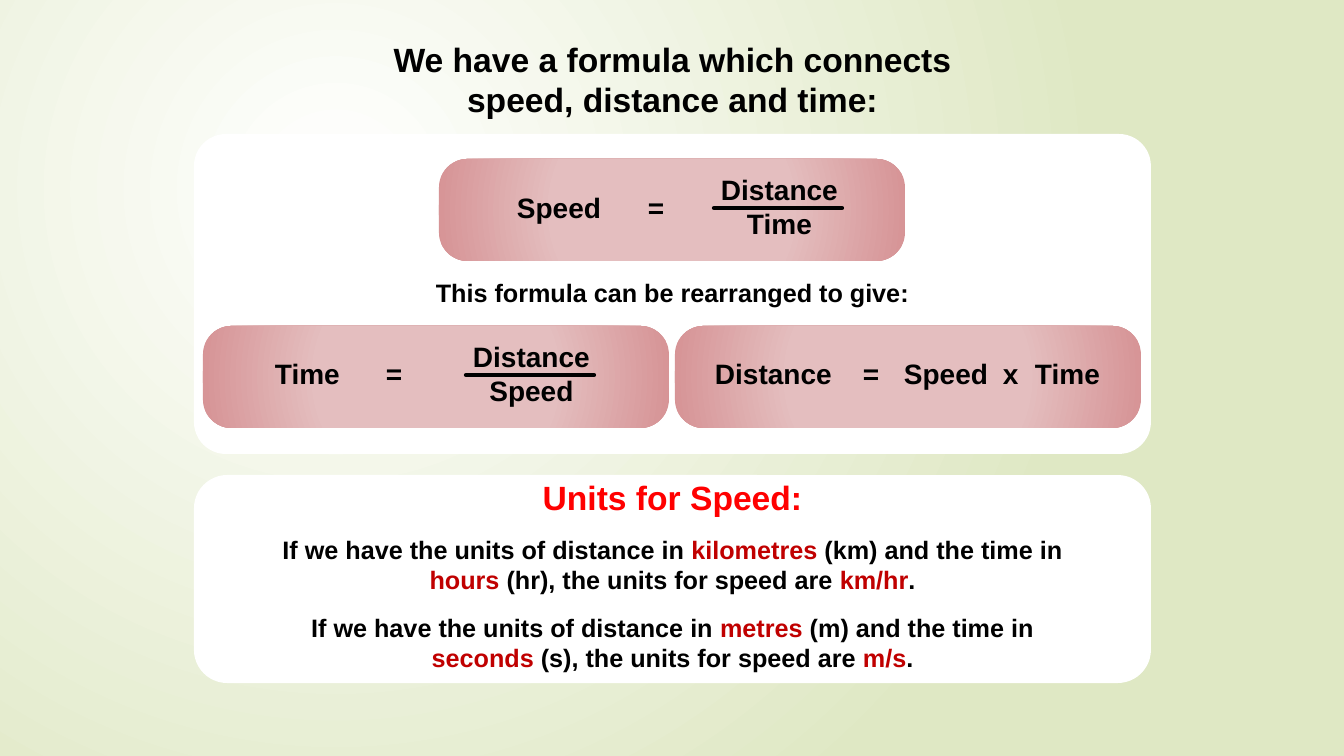
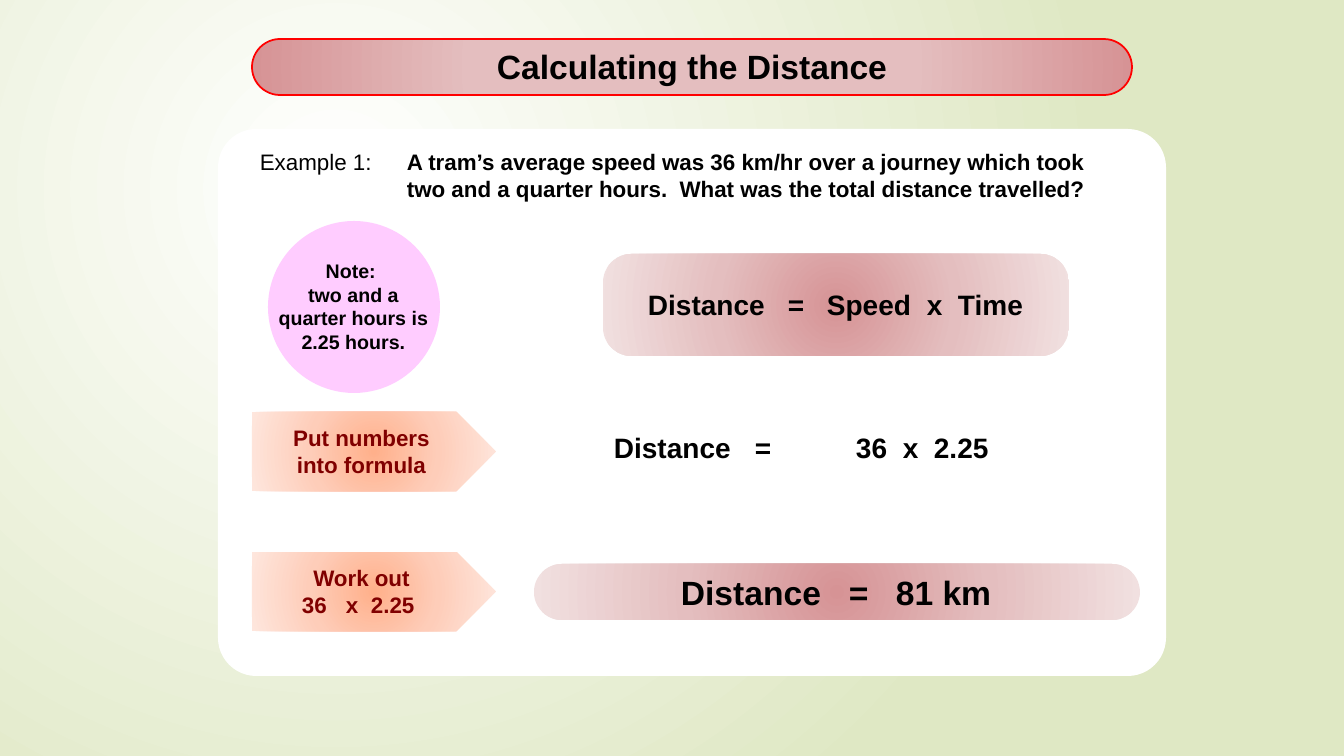
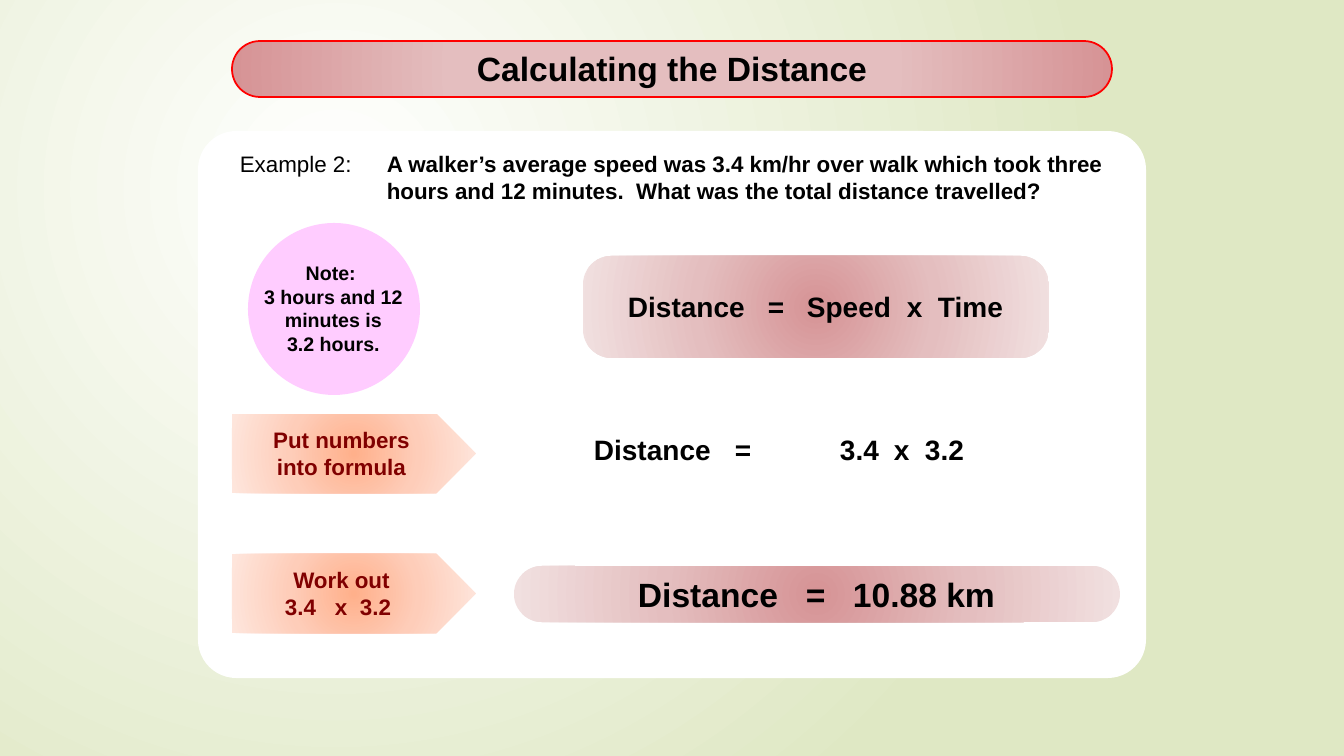
from copy import deepcopy

from lxml import etree
from pptx import Presentation
from pptx.dml.color import RGBColor
from pptx.enum.shapes import MSO_CONNECTOR, MSO_SHAPE
from pptx.enum.text import PP_ALIGN
from pptx.oxml import parse_xml
from pptx.oxml.ns import nsdecls, qn
from pptx.util import Pt

PX = 9071  # EMU in one px
FONT = "Arial"
BLACK = RGBColor(0x00, 0x00, 0x00)
WHITE = RGBColor(0xFF, 0xFF, 0xFF)
RED = RGBColor(0xFF, 0x00, 0x00)
DARK_RED = RGBColor(0xC0, 0x00, 0x00)
MAROON = RGBColor(0x80, 0x00, 0x00)
PINK = RGBColor(0xFF, 0xCC, 0xFF)

ROUNDED = MSO_SHAPE.ROUNDED_RECTANGLE
OVAL = MSO_SHAPE.OVAL
ARROW = MSO_SHAPE.PENTAGON
STRAIGHT = MSO_CONNECTOR.STRAIGHT
LEFT = PP_ALIGN.LEFT
CENTER = PP_ALIGN.CENTER

# Stops as (percent, colour), then the right and bottom of the focus in percent
GRADIENTS = {}
for name, stops, far_edge in (
    ("backdrop", ((0, WHITE), (100, RGBColor(0xDF, 0xE8, 0xC4))), 100),
    ("dark edge", ((50, RGBColor(0xE4, 0xBE, 0xBF)), (100, RGBColor(0xD6, 0x93, 0x95)),
                   (100, RGBColor(0xF1, 0xE0, 0xE0))), 50),
    ("dark centre", ((0, RGBColor(0xD6, 0x93, 0x95)), (50, RGBColor(0xE4, 0xBE, 0xBF)),
                     (100, RGBColor(0xF1, 0xE0, 0xE0))), 50),
    ("orange", ((0, RGBColor(0xFF, 0xB0, 0x8B)), (50, RGBColor(0xFE, 0xCD, 0xB9)),
                (100, RGBColor(0xFE, 0xE6, 0xDD))), 50),
):
    stop_xml = "".join(
        f'<a:gs pos="{percent * 1000}"><a:srgbClr val="{color}"/></a:gs>'
        for percent, color in stops)
    GRADIENTS[name] = parse_xml(
        f'<a:gradFill {nsdecls("a")}><a:gsLst>{stop_xml}</a:gsLst><a:path path="circle">'
        f'<a:fillToRect l="50000" t="50000" r="{far_edge * 1000}" b="{far_edge * 1000}"/>'
        '</a:path></a:gradFill>')


def add_box(slide, kind, box, fill, corner=None, outline=None):
    """Add a preset shape filled with a colour or a named gradient."""
    shape = slide.shapes.add_shape(kind, *[length * PX for length in box])
    shape.shadow.inherit = False
    if corner is not None:
        shape.adjustments[0] = corner
    if fill in GRADIENTS:
        shape.fill.gradient()
        plain = shape.element.spPr.find(qn("a:gradFill"))
        plain.getparent().replace(plain, deepcopy(GRADIENTS[fill]))
    else:
        shape.fill.solid()
        shape.fill.fore_color.rgb = fill
    if outline is None:
        shape.line.fill.background()
    else:
        shape.line.color.rgb = outline
        shape.line.width = Pt(1.25)


def add_text(slide, box, lines, size, color=BLACK, align=CENTER, bold=True, tabs=()):
    """Add a text box; a line is a string or a list of (text, colour) runs."""
    frame = slide.shapes.add_textbox(*[length * PX for length in box]).text_frame
    frame.word_wrap = True
    for index, line in enumerate(lines):
        paragraph = frame.add_paragraph() if index else frame.paragraphs[0]
        paragraph.alignment = align
        if tabs:
            tab_list = etree.SubElement(paragraph._p.get_or_add_pPr(), qn("a:tabLst"))
            for position in tabs:
                etree.SubElement(tab_list, qn("a:tab"), pos=str(position * PX), algn="l")
        for text, run_color in [(line, color)] if isinstance(line, str) else line:
            run = paragraph.add_run()
            run.text = text
            run.font.name = FONT
            run.font.size = Pt(size)
            run.font.bold = bold
            run.font.color.rgb = run_color


presentation = Presentation()
presentation.slide_width = 1344 * PX
presentation.slide_height = 756 * PX
blank = presentation.slide_layouts[6]
master = presentation.slide_master
master.background.fill.gradient()
plain_backdrop = master.element.find(".//" + qn("a:gradFill"))
plain_backdrop.getparent().replace(plain_backdrop, deepcopy(GRADIENTS["backdrop"]))

# Each equation: slide, top, size, colour, and its words with their left edges
equations = []

# Slide 1: the formula and its units
slide = presentation.slides.add_slide(blank)
add_box(slide, ROUNDED, (194, 475, 957, 208), WHITE, 0.16)
add_box(slide, ROUNDED, (194, 134, 957, 320), WHITE, 0.1)
for left, top in ((439, 159), (203, 326), (675, 326)):
    add_box(slide, ROUNDED, (left, top, 466, 102), "dark edge", 0.28)

for left, top, bottom_word in ((690, 168, "Time"), (442, 335, "Speed")):
    add_text(slide, (left, top, 179, 78), ["Distance", bottom_word], 20)
    bar_y = top + 40
    bar = slide.shapes.add_connector(
        STRAIGHT, (left + 24) * PX, bar_y * PX, (left + 152) * PX, bar_y * PX)
    bar.line.color.rgb = BLACK
    bar.line.width = Pt(3)
    properties = bar.element.spPr
    properties.find(qn("a:ln")).set("cap", "rnd")
    etree.SubElement(properties, qn("a:effectLst"))

equations += [
    (slide, 186, 20, BLACK, (("Speed", 517), ("=", 648))),
    (slide, 352, 20, BLACK, (("Time", 275), ("=", 386))),
    (slide, 352, 20, BLACK, (("Distance", 715), ("=", 863), ("Speed", 904),
                             ("x", 1003), ("Time", 1035))),
]

for top, height, size, color, lines in (
    (34, 92, 24, BLACK, ["We have a formula which connects", "speed, distance and time:"]),
    (272, 40, 18, BLACK, ["This formula can be rearranged to give:"]),
    (472, 50, 24, RED, ["Units for Speed:"]),
):
    add_text(slide, (230, top, 885, height), lines, size, color)

for top, length_unit, length_sign, time_unit, time_sign, speed_sign in (
    (529, "kilometres", "km", "hours", "hr", "km/hr"),
    (607, "metres", "m", "seconds", "s", "m/s"),
):
    add_text(slide, (230, top, 885, 72), [
        [("If we have the units of distance in ", BLACK), (length_unit, DARK_RED),
         (f" ({length_sign}) and the time in", BLACK)],
        [(f"{time_unit} ", DARK_RED), (f"({time_sign}), the units for speed are ", BLACK),
         (speed_sign, DARK_RED), (".", BLACK)],
    ], 18)

# Slides 2 and 3: worked examples, each placed from the panel's left and top
EXAMPLES = (
    (218, 129, "Example 1:",
     "A tram’s average speed was 36 km/hr over a journey which took two and a "
     "quarter hours.  What was the total distance travelled?",
     ["Note: ", "two and a quarter hours is", "2.25 hours."],
     (("36", 638), ("x", 685), ("2.25", 716)),
     (("36", 84), ("x", 128), ("2.25", 153)),
     (("Distance", 463), ("=", 631), ("81 km", 678))),
    (198, 131, "Example 2:",
     "A walker’s average speed was 3.4 km/hr over walk which took three hours and "
     "12 minutes.  What was the total distance travelled?",
     ["Note: ", "3 hours and 12 minutes is", "3.2 hours."],
     (("3.4", 642), ("x", 696), ("3.2", 727)),
     (("3.4", 87), ("x", 137), ("3.2", 162)),
     (("Distance", 440), ("=", 608), ("10.88 km", 655))),
)
for left, top, label, question, note, numbers, working, answer in EXAMPLES:
    slide = presentation.slides.add_slide(blank)
    add_box(slide, ROUNDED, (left, top, 948, 547), WHITE, 0.07)
    add_box(slide, ROUNDED, (left + 34, top - 90, 880, 56), "dark edge", 0.5, RED)
    add_text(slide, (left + 57, top - 88, 834, 50), ["Calculating the Distance"], 24)
    add_text(slide, (left + 32, top + 14, 169, 37), [label], 16, align=LEFT, bold=False)
    add_text(slide, (left + 179, top + 14, 737, 65), [question], 16, align=LEFT)
    add_box(slide, OVAL, (left + 50, top + 92, 172, 172), PINK)
    add_text(slide, (left + 46, top + 125, 179, 105), note, 14)
    add_box(slide, ROUNDED, (left + 385, top + 125, 466, 102), "dark centre", 0.28)
    add_box(slide, ROUNDED, (left + 316, top + 435, 606, 56), "dark centre", 0.5)
    for step_top, step_lines in ((283, ["Put numbers", "into formula"]), (423, ["Work out"])):
        add_box(slide, ARROW, (left + 34, top + step_top, 244, 79), "orange")
        add_text(slide, (left + 36, top + step_top + 7, 215, 65), step_lines, 16, MAROON)
    formula = (("Distance", 430), ("=", 570), ("Speed", 609), ("x", 709), ("Time", 740))
    for row_top, size, color, words in (
        (154, 20, BLACK, formula),
        (297, 20, BLACK, (("Distance", 396), ("=", 537))),
        (297, 20, BLACK, numbers),
        (457, 16, MAROON, working),
        (438, 24, BLACK, answer),
    ):
        placed = [(word, left + offset) for word, offset in words]
        equations.append((slide, top + row_top, size, color, placed))

for slide, top, size, color, words in equations:
    start = words[0][1]
    width = words[-1][1] - start + 170
    add_text(slide, (start - 10, top, width, 44), ["\t".join(word for word, x in words)],
             size, color, LEFT, tabs=[x - start for word, x in words[1:]])

presentation.save("out.pptx")
